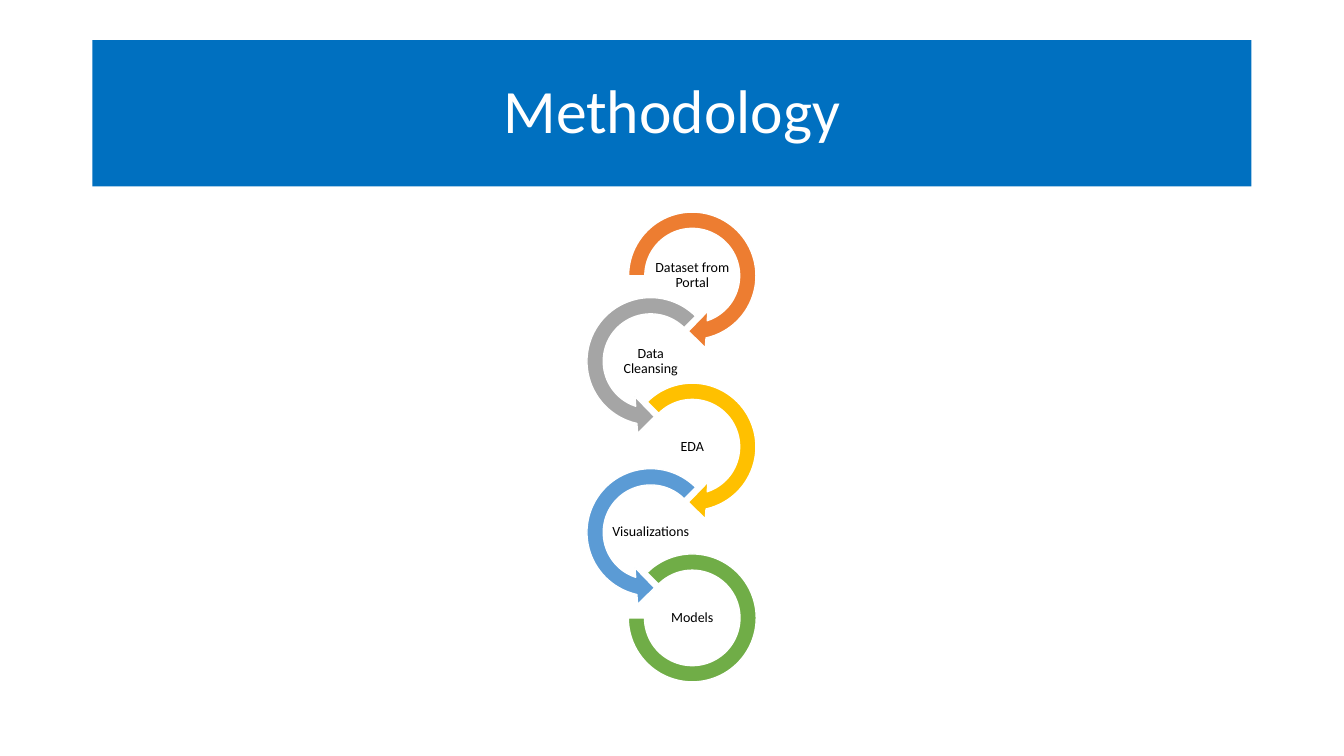
from pptx import Presentation
from pptx.dml.color import RGBColor
from pptx.enum.shapes import MSO_SHAPE as Shape
from pptx.enum.text import MSO_ANCHOR as Anchor, PP_ALIGN as Align
from pptx.util import Pt

COLORS = {
    "banner": "0070C0",
    "white": "FFFFFF",
    "black": "000000",
    "orange": "ED7D31",
    "gray": "A5A5A5",
    "gold": "FFC000",
    "blue": "5B9BD5",
    "green": "70AD47",
}

# Preset, diameter and adjustments of each kind of ring
RINGS = {
    "first": (Shape.CIRCULAR_ARROW, 105.8, (0.11, 11.42, 45, 108, 0.125)),
    "left": (Shape.LEFT_CIRCULAR_ARROW, 105.8, (0.11, 11.42, 63, 189, 0.125)),
    "right": (Shape.CIRCULAR_ARROW, 105.8, (0.11, 11.42, 45, 135, 0.125)),
    "last": (Shape.BLOCK_ARC, 91.4, (135, 108, 0.127)),
}

STEPS = [
    ("Dataset from Portal", "orange", "first"),
    ("Data Cleansing", "gray", "left"),
    ("EDA", "gold", "right"),
    ("Visualizations", "blue", "left"),
    ("Models", "green", "last"),
]

CENTER_X = (494.5, 464.8)  # the rings alternate between two columns
FIRST_CENTER_Y = 197
STEP_HEIGHT = 61.1
LABEL_WIDTH, LABEL_HEIGHT = 59, 29.5


class Painter:
    font = "Calibri"

    def __init__(self, page):
        self.page = page

    def color(self, name):
        return RGBColor.from_string(COLORS[name])

    def set_text(self, box, text, size, color):
        frame = box.text_frame
        frame.word_wrap = True
        frame.vertical_anchor = Anchor.MIDDLE
        para = frame.paragraphs[0]
        para.text = text
        para.alignment = Align.CENTER
        para.line_spacing = 0.9
        para.font.name = self.font
        para.font.size = Pt(size)
        para.font.color.rgb = self.color(color)

    def shape(self, preset, left, top, width, height, fill):
        shape = self.page.shapes.add_shape(
            preset, Pt(left), Pt(top), Pt(width), Pt(height))
        shape.shadow.inherit = False
        shape.fill.solid()
        shape.fill.fore_color.rgb = self.color(fill)
        return shape

    def banner(self, text, left, top, width, height):
        box = self.shape(Shape.RECTANGLE, left, top, width, height, "banner")
        box.line.fill.background()
        self.set_text(box, text, 44, "white")

    def ring(self, kind, center_x, center_y, fill):
        preset, size, adjustments = RINGS[kind]
        ring = self.shape(preset, center_x - size / 2, center_y - size / 2,
                          size, size, fill)
        ring.line.color.rgb = self.color("white")
        ring.line.width = Pt(1)
        for index, value in enumerate(adjustments):
            ring.adjustments[index] = value

    def label(self, text, center_x, center_y):
        box = self.page.shapes.add_textbox(
            Pt(center_x - LABEL_WIDTH / 2), Pt(center_y - LABEL_HEIGHT / 2),
            Pt(LABEL_WIDTH), Pt(LABEL_HEIGHT))
        frame = box.text_frame
        frame.margin_left = frame.margin_right = Pt(0.5)
        frame.margin_top = frame.margin_bottom = Pt(0.5)
        self.set_text(box, text, 10, "black")


def main():
    deck = Presentation()
    deck.slide_width, deck.slide_height = Pt(960), Pt(540)
    painter = Painter(deck.slides.add_slide(deck.slide_layouts[6]))

    painter.banner("Methodology", 66, 28.75, 828, 104.4)
    for index, (text, color, kind) in enumerate(STEPS):
        center_x = CENTER_X[index % 2]
        center_y = FIRST_CENTER_Y + index * STEP_HEIGHT
        painter.ring(kind, center_x, center_y, color)
        painter.label(text, center_x, center_y)

    deck.save("out.pptx")


if __name__ == "__main__":
    main()
